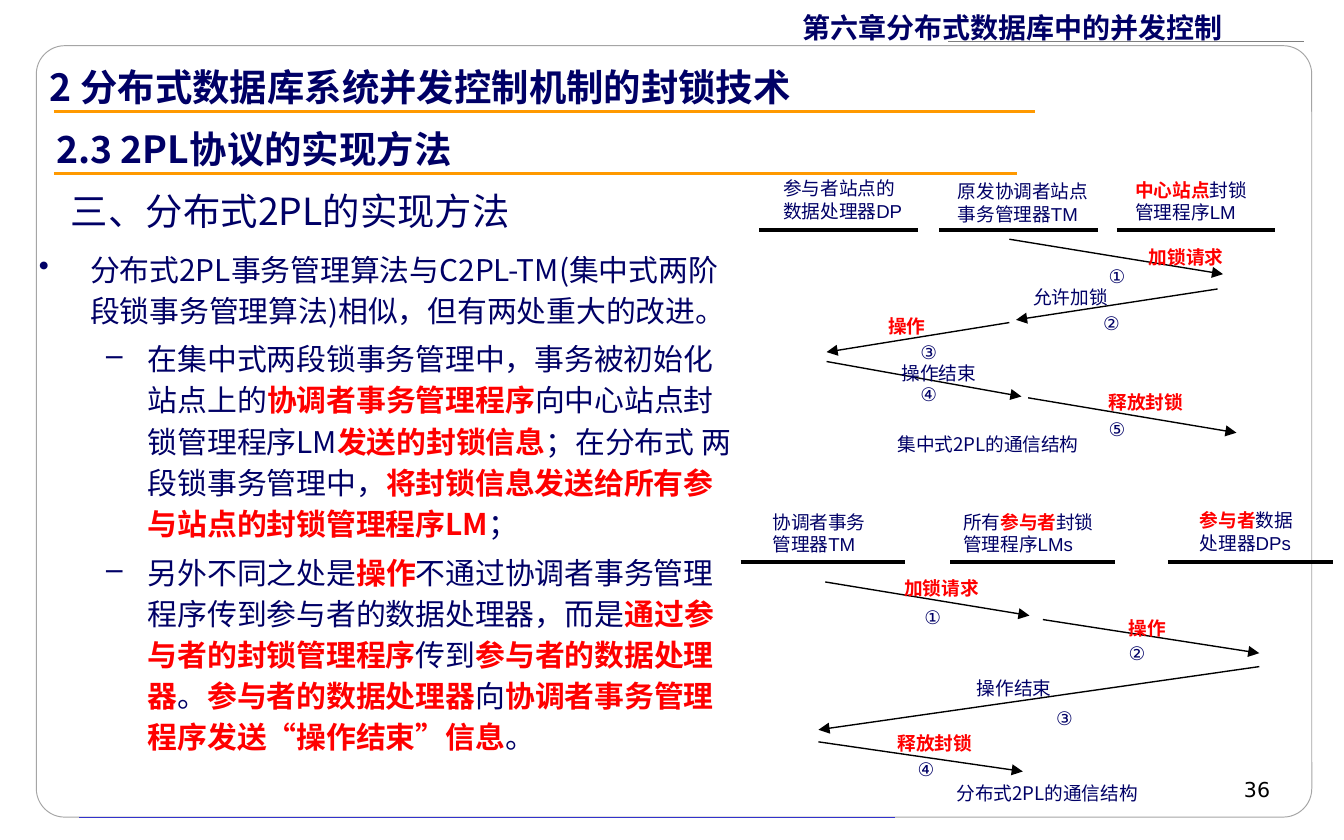
from dataclasses import dataclass

from lxml import etree
from pptx import Presentation
from pptx.dml.color import RGBColor
from pptx.enum.shapes import MSO_CONNECTOR, MSO_SHAPE
from pptx.enum.text import MSO_ANCHOR, MSO_AUTO_SIZE, PP_ALIGN
from pptx.oxml.ns import qn
from pptx.util import Inches, Pt

STRAIGHT = MSO_CONNECTOR.STRAIGHT
ROUNDED = MSO_SHAPE.ROUNDED_RECTANGLE
TOP = MSO_ANCHOR.TOP
NO_FIT = MSO_AUTO_SIZE.NONE
LEFT, RIGHT = PP_ALIGN.LEFT, PP_ALIGN.RIGHT
COLUMNS, ROWS = 100, 62.5
CELL = Inches(0.1)
LABEL_HEIGHT, HEADING_HEIGHT = 2.7, 4.4
NUMBER_WIDTH, LABEL_WIDTH, CAPTION_WIDTH = 3, 9, 15.5


@dataclass(frozen=True)
class Theme:
    cjk: str = "Noto Sans CJK SC"
    latin: str = "Arial"
    chapter: str = "Times New Roman"
    number: str = "DejaVu Sans"
    navy: str = "000066"
    red: str = "FF0000"
    black: str = "000000"
    white: str = "FFFFFF"
    orange: str = "FF9900"
    blue: str = "3333CC"
    frame: str = "A5A5A5"
    grey: str = "7F7F7F"
    title: int = 20
    chapter_size: int = 15
    body: int = 16
    number_size: int = 11
    label: int = 10


THEME = Theme()

BODY = [
    (0, "分布式2PL事务管理算法与C2PL-TM(集中式两阶段锁事务管理算法)相似，但有两处重大的改进。"),
    (1, "在集中式两段锁事务管理中，事务被初始化站点上的*协调者事务管理程序*向中心站点封锁管理程序LM"
        "*发送的封锁信息*；在分布式 两段锁事务管理中，*将封锁信息发送给所有参与站点的封锁管理程序LM*；"),
    (1, "另外不同之处是*操作*不通过协调者事务管理程序传到参与者的数据处理器，而是"
        "*通过参与者的封锁管理程序*传到*参与者的数据处理器*。*参与者的数据处理器*向"
        "*协调者事务管理程序发送“操作结束”信息*。"),
]
BULLETS = {0: ("•", 0.38, -0.38), 1: ("–", 0.81, -0.31)}

CENTRAL = {
    "bars": (17.1, 11.8, (56.5, 69.9, 83.1)),
    "headings": [
        (57.3, 12.7, 12.1, ["参与者站点的", "数据处理器DP"]),
        (70.3, 12.9, 12.3, ["原发协调者站点", "事务管理器TM"]),
        (83.5, 12.8, 11.3, ["*中心站点*封锁", "管理程序LM"]),
    ],
    "arrows": [
        (75.1, 17.8, 91, 20.4), (90.6, 21.5, 75.6, 23.8), (75.1, 24, 61.5, 26.2),
        (61.5, 26.9, 76, 29.5), (76.5, 29.6, 92, 32.2),
    ],
    "labels": [
        (84.5, 17.8, "*加锁请求*"), (75.9, 20.8, "允许加锁"), (65.1, 22.9, "*操作*"),
        (66.1, 26.4, "操作结束"), (81.5, 28.6, "*释放封锁*"),
    ],
    "numbers": [
        (81.5, 19.2, "①"), (81.1, 22.7, "②"), (67.5, 24.9, "③"),
        (67.5, 28, "④"), (81.5, 30.6, "⑤"),
    ],
    "caption": (65.8, 31.7, "集中式2PL的通信结构"),
}
DISTRIBUTED = {
    "bars": (41.8, 12.25, (55.1, 70.7, 86.9)),
    "headings": [
        (56.5, 37.5, 9.4, ["协调者事务", "管理器TM"]),
        (70.7, 37.5, 12.4, ["所有*参与者*封锁", "管理程序LMs"]),
        (88.3, 37.4, 9.4, ["*参与者*数据", "处理器DPs"]),
    ],
    "arrows": [
        (61.4, 43.3, 76.6, 45.8), (77.6, 46.1, 93.7, 48.6),
        (93.7, 49.6, 60.9, 54.3), (60.9, 55.2, 76.1, 57.4),
    ],
    "labels": [
        (66.3, 42.4, "*加锁请求*"), (83, 45.4, "*操作*"),
        (71.7, 49.9, "操作结束"), (65.8, 54, "*释放封锁*"),
    ],
    "numbers": [(67.8, 44.6, "①"), (83, 47.3, "②"), (77.6, 52.1, "③"), (67.3, 55.9, "④")],
    "caption": (70.2, 57.7, "分布式2PL的通信结构"),
}


def cells(*counts):
    return [round(count * CELL) for count in counts]


def set_values(target, values):
    for name, value in values.items():
        setattr(target, name, value)


def format_frame(frame, side=0.1):
    set_values(frame, {
        "word_wrap": True, "auto_size": NO_FIT, "vertical_anchor": TOP,
        "margin_left": Inches(side), "margin_right": Inches(side),
        "margin_top": Inches(0.05), "margin_bottom": Inches(0.05),
    })


def write(para, text, size, face=THEME.cjk, bold=False, color=THEME.navy):
    for index, part in enumerate(text.split("*")):
        if not part:
            continue
        strong = index % 2 == 1
        span = para.add_run()
        span.text = part
        set_values(span.font, {"size": Pt(size), "bold": bold or strong, "name": face})
        span.font.color.rgb = RGBColor.from_string(THEME.red if strong else color)
        east = etree.SubElement(span.font._element, qn("a:ea"))
        east.set("typeface", THEME.cjk)


def add_text(page, place, lines, size, align=LEFT, **style):
    box = page.shapes.add_textbox(*cells(*place))
    format_frame(box.text_frame)
    for index, line in enumerate(lines):
        para = box.text_frame.add_paragraph() if index else box.text_frame.paragraphs[0]
        para.alignment = align
        write(para, line, size, **style)
    return box


def add_line(page, ends, color, width, arrow=False):
    line = page.shapes.add_connector(STRAIGHT, *cells(*ends))
    line.line.color.rgb = RGBColor.from_string(color)
    line.line.width = Pt(width)
    if arrow:
        head = etree.SubElement(line.line._get_or_add_ln(), qn("a:tailEnd"))
        head.set("type", "triangle")
    etree.SubElement(line._element.spPr, qn("a:effectLst"))


def add_frame(page):
    panel = page.shapes.add_shape(ROUNDED, *cells(2.7, 3.4, 94.9, 57.4))
    panel.adjustments[0] = 0.037
    panel.shadow.inherit = False
    panel.fill.solid()
    panel.fill.fore_color.rgb = RGBColor.from_string(THEME.white)
    panel.line.color.rgb = RGBColor.from_string(THEME.frame)
    panel.line.width = Pt(0.5)
    add_line(page, (5.9, 60.8, 66.6, 60.8), THEME.blue, 0.25)
    chapter = add_text(page, (58.7, 0.3, 37.8, 3.4), ["第六章"], THEME.chapter_size, bold=True)
    write(chapter.text_frame.paragraphs[0], "分布式数据库中的并发控制",
          THEME.chapter_size, face=THEME.chapter, bold=True)
    add_line(page, (97, 3.1, 70.5, 3.1), THEME.grey, 0.75)
    add_text(page, (70.5, 57.3, 25, 2.3), ["36"], THEME.number_size, align=RIGHT,
             face=THEME.number, color=THEME.black)


def add_titles(page):
    title = page.shapes.title
    page.shapes._spTree.append(title._element)
    set_values(title, dict(zip(("left", "top", "width", "height"), cells(2.7, 4.3, 79.9, 4.4))))
    format_frame(title.text_frame)
    para = title.text_frame.paragraphs[0]
    para.alignment = LEFT
    write(para, "2 分布式数据库系统并发控制机制的封锁技术", THEME.title, bold=True)
    add_line(page, (4, 8.3, 77, 8.3), THEME.orange, 1.5)
    add_text(page, (3.2, 8.9, 79.9, 4.4), ["2.3 2PL协议的实现方法"], THEME.title, bold=True)
    add_line(page, (4, 12.9, 75.7, 12.9), THEME.orange, 1.5)
    add_text(page, (4.3, 13.5, 69.3, 4.4), ["三、分布式2PL的实现方法"], THEME.title)


def add_bullet(para, level):
    mark, margin, indent = BULLETS[level]
    props = para._p.get_or_add_pPr()
    props.set("marL", str(Inches(margin)))
    props.set("indent", str(Inches(indent)))
    color = etree.SubElement(props, qn("a:buClr"))
    etree.SubElement(color, qn("a:srgbClr")).set("val", THEME.navy)
    etree.SubElement(props, qn("a:buChar")).set("char", mark)


def add_body(page):
    box = page.shapes.add_textbox(*cells(2, 17.8, 53.9, 41.8))
    format_frame(box.text_frame, side=0.09)
    for index, (level, text) in enumerate(BODY):
        para = box.text_frame.add_paragraph() if index else box.text_frame.paragraphs[0]
        add_bullet(para, level)
        set_values(para, {"level": level, "line_spacing": 1.15, "space_before": Pt(4 if index else 0)})
        write(para, text, THEME.body)


def add_diagram(page, diagram):
    level, length, starts = diagram["bars"]
    for start in starts:
        add_line(page, (start, level, start + length, level), THEME.black, 2.25)
    for left, top, width, lines in diagram["headings"]:
        add_text(page, (left, top, width, HEADING_HEIGHT), lines, THEME.label, face=THEME.latin)
    for ends in diagram["arrows"]:
        add_line(page, ends, THEME.black, 0.75, arrow=True)
    for kind, width in (("labels", LABEL_WIDTH), ("numbers", NUMBER_WIDTH)):
        for left, top, text in diagram[kind]:
            add_text(page, (left, top, width, LABEL_HEIGHT), [text], THEME.label, face=THEME.latin)
    left, top, text = diagram["caption"]
    add_text(page, (left, top, CAPTION_WIDTH, LABEL_HEIGHT), [text], THEME.label)


def main():
    deck = Presentation()
    deck.slide_width, deck.slide_height = cells(COLUMNS, ROWS)
    page = deck.slides.add_slide(deck.slide_layouts.get_by_name("Title Only"))
    add_frame(page)
    add_titles(page)
    add_body(page)
    for diagram in (DISTRIBUTED, CENTRAL):
        add_diagram(page, diagram)
    deck.save("out.pptx")


if __name__ == "__main__":
    main()
